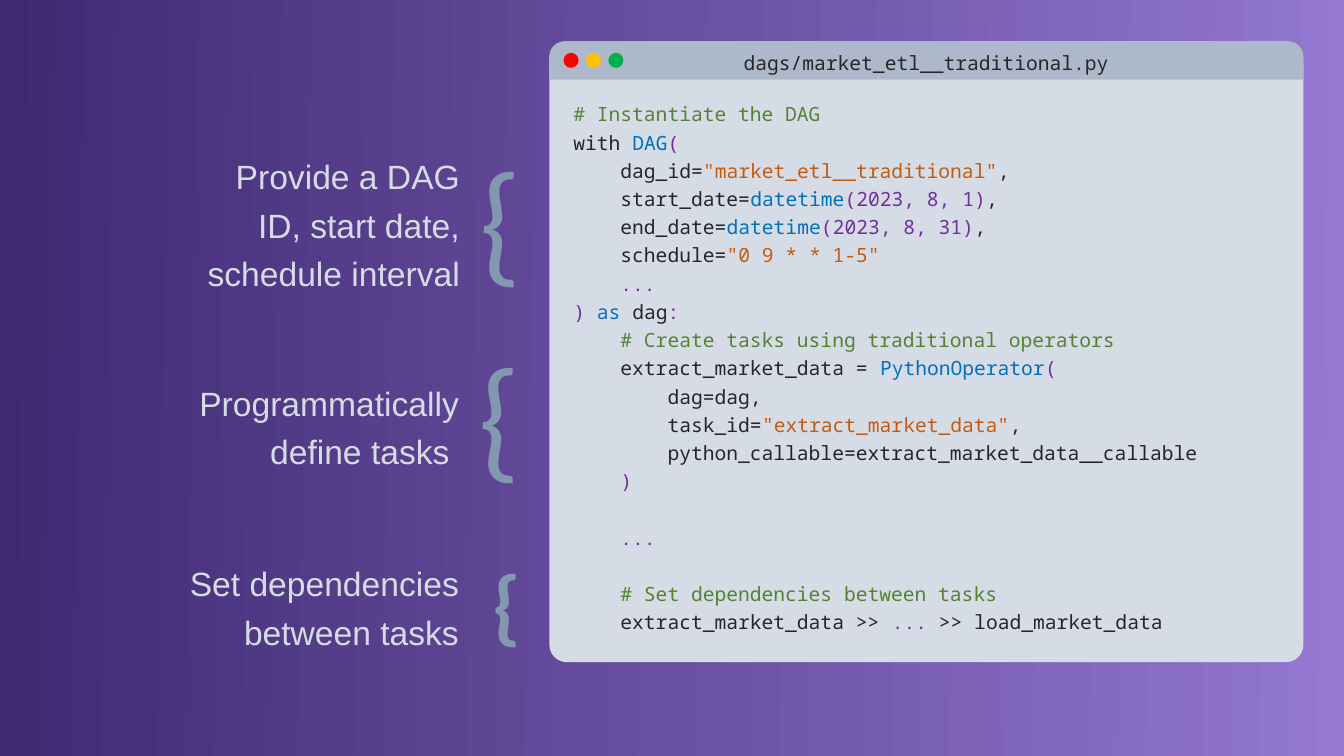
from copy import deepcopy
from dataclasses import dataclass

from pptx import Presentation
from pptx.dml.color import RGBColor
from pptx.enum.shapes import MSO_SHAPE
from pptx.enum.text import MSO_ANCHOR, MSO_AUTO_SIZE, PP_ALIGN
from pptx.oxml.ns import qn
from pptx.util import Pt

ROUND, TOP_ROUND, OVAL = MSO_SHAPE.ROUNDED_RECTANGLE, MSO_SHAPE.ROUND_2_SAME_RECTANGLE, MSO_SHAPE.OVAL
MIDDLE, GROW = MSO_ANCHOR.MIDDLE, MSO_AUTO_SIZE.SHAPE_TO_FIT_TEXT
LEFT, CENTER, RIGHT = PP_ALIGN.LEFT, PP_ALIGN.CENTER, PP_ALIGN.RIGHT


@dataclass(frozen=True)
class Theme:
    back: tuple = ("3F2971", "6950A1", "9478D2")
    dots: tuple = ("FF0000", "FFC000", "00B050")
    panel: str = "D6DCE5"
    bar: str = "ADB9CA"
    brace: str = "8497B0"
    plain: str = "262626"
    note: str = "548235"
    name: str = "0070C0"
    mark: str = "7030A0"
    quote: str = "C55A11"
    mono: str = "Noto Sans Mono"
    sans: str = "Arial"
    curly: str = "Calibri"
    code: float = 14
    label: float = 24
    pitch: float = 1.2
    blank: float = 20.16


THEME = Theme()
PLAIN, NOTE, NAME, MARK, QUOTE = THEME.plain, THEME.note, THEME.name, THEME.mark, THEME.quote


@dataclass(frozen=True)
class Box:
    left: float
    top: float
    width: float
    height: float

    def place(self) -> tuple:
        return Pt(self.left), Pt(self.top), Pt(self.width), Pt(self.height)


@dataclass(frozen=True)
class Line:
    spans: tuple
    gap: bool = False


@dataclass(frozen=True)
class Label:
    text: str
    box: Box


@dataclass(frozen=True)
class Brace:
    box: Box
    size: float
    bold: bool = False


PANEL = Box(392.4, 29.5, 538.6, 443.5)
BAR = Box(392.4, 29.5, 538.6, 27.4)
CODE = Box(402.5, 66.2, 516.2, 392.4)
DOT = Box(402.5, 37.7, 10.8, 10.8)
DOT_STEP = 16

LINES = (
    Line((("# Instantiate the DAG", NOTE),)),
    Line((("with ", PLAIN), ("DAG", NAME), ("(", MARK))),
    Line((("    dag_id=", PLAIN), ('"market_etl__traditional"', QUOTE), (",", PLAIN))),
    Line((("    start_date=", PLAIN), ("datetime", NAME), ("(2023, 8, 1)", MARK), (",", PLAIN))),
    Line((("    end_date=", PLAIN), ("datetime", NAME), ("(2023, 8, 31)", MARK), (",", PLAIN))),
    Line((("    schedule=", PLAIN), ('"0 9 * * 1-5"', QUOTE))),
    Line((("    ...", MARK),)),
    Line(((") ", MARK), ("as ", NAME), ("dag", PLAIN), (":", MARK))),
    Line((("    # Create tasks using traditional operators", NOTE),)),
    Line((("    extract_market_data = ", PLAIN), ("PythonOperator", NAME), ("(", MARK))),
    Line((("        dag=dag,", PLAIN),)),
    Line((("        task_id=", PLAIN), ('"extract_market_data"', QUOTE), (",", PLAIN))),
    Line((("        python_callable=extract_market_data__callable", PLAIN),)),
    Line((("    )", MARK),)),
    Line((("    ...", MARK),), gap=True),
    Line((("    # Set dependencies between tasks", NOTE),), gap=True),
    Line((("    extract_market_data >> ", PLAIN), ("...", MARK), (" >> load_market_data", PLAIN))),
)

LABELS = (
    Label("Provide a DAG ID, start date, schedule interval", Box(134.6, 102.2, 200.9, 113.8)),
    Label("Programmatically define tasks ", Box(98.6, 264.2, 236.2, 74.9)),
    Label("Set dependencies between tasks", Box(98.6, 393.1, 236.2, 74.9)),
)

BRACES = (
    Brace(Box(335.5, 92.9, 45.4, 123.8), 96),
    Brace(Box(334.8, 233.3, 45.4, 123.8), 96),
    Brace(Box(344.9, 390.2, 35.3, 79.9), 60, bold=True),
)


def style(run, font: str, size: float, color: str, bold: bool = False) -> None:
    run.font.name = font
    run.font.size = Pt(size)
    run.font.color.rgb = RGBColor.from_string(color)
    if bold:
        run.font.bold = True


def paint(slide) -> None:
    fill = slide.background.fill
    fill.gradient()
    fill.gradient_angle = 359
    stops = slide.element.find(".//" + qn("a:gsLst"))
    stops.insert(1, deepcopy(stops[0]))
    for spot, (stop, color) in enumerate(zip(fill.gradient_stops, THEME.back)):
        stop.position = spot / 2
        stop.color.rgb = RGBColor.from_string(color)


def add_form(shapes, kind, box: Box, color: str, rounds: tuple = ()):
    shape = shapes.add_shape(kind, *box.place())
    shape.shadow.inherit = False
    shape.fill.solid()
    shape.fill.fore_color.rgb = RGBColor.from_string(color)
    shape.line.fill.background()
    for spot, value in enumerate(rounds):
        shape.adjustments[spot] = value
    return shape


def add_text(shapes, box: Box, wrap: bool = True):
    frame = shapes.add_textbox(*box.place()).text_frame
    frame.word_wrap = wrap
    frame.auto_size = GROW
    return frame


def add_title(shape, text: str) -> None:
    frame = shape.text_frame
    frame.text = text
    frame.vertical_anchor = MIDDLE
    frame.paragraphs[0].alignment = CENTER
    style(frame.paragraphs[0].runs[0], THEME.mono, THEME.code, PLAIN)


def add_code(shapes) -> None:
    frame = add_text(shapes, CODE)
    frame.text = "\n".join([""] * len(LINES))
    for para, line in zip(frame.paragraphs, LINES):
        para.alignment = LEFT
        para.line_spacing = THEME.pitch
        if line.gap:
            para.space_before = Pt(THEME.blank)
        for text, color in line.spans:
            run = para.add_run()
            run.text = text
            style(run, THEME.mono, THEME.code, color)


def add_window(slide) -> None:
    shapes = slide.shapes.add_group_shape().shapes
    add_form(shapes, ROUND, PANEL, THEME.panel, (0.028,))
    bar = add_form(shapes, TOP_ROUND, BAR, THEME.bar, (0.392, 0))
    add_title(bar, "dags/market_etl__traditional.py")
    for spot, color in enumerate(THEME.dots):
        box = Box(DOT.left + spot * DOT_STEP, DOT.top, DOT.width, DOT.height)
        add_form(shapes, OVAL, box, color)
    add_code(shapes)


def add_label(slide, label: Label) -> None:
    frame = add_text(slide.shapes, label.box)
    frame.text = label.text
    para = frame.paragraphs[0]
    para.alignment = RIGHT
    para.line_spacing = THEME.pitch
    style(para.runs[0], THEME.sans, THEME.label, THEME.panel)


def add_brace(slide, brace: Brace) -> None:
    frame = add_text(slide.shapes, brace.box, wrap=False)
    frame.text = "{"
    style(frame.paragraphs[0].runs[0], THEME.curly, brace.size, THEME.brace, brace.bold)


def main() -> None:
    deck = Presentation()
    deck.slide_width, deck.slide_height = Pt(960), Pt(540)
    slide = deck.slides.add_slide(deck.slide_layouts[6])
    paint(slide)
    add_window(slide)
    for label, brace in zip(LABELS, BRACES):
        add_label(slide, label)
        add_brace(slide, brace)
    deck.save("out.pptx")


if __name__ == "__main__":
    main()
